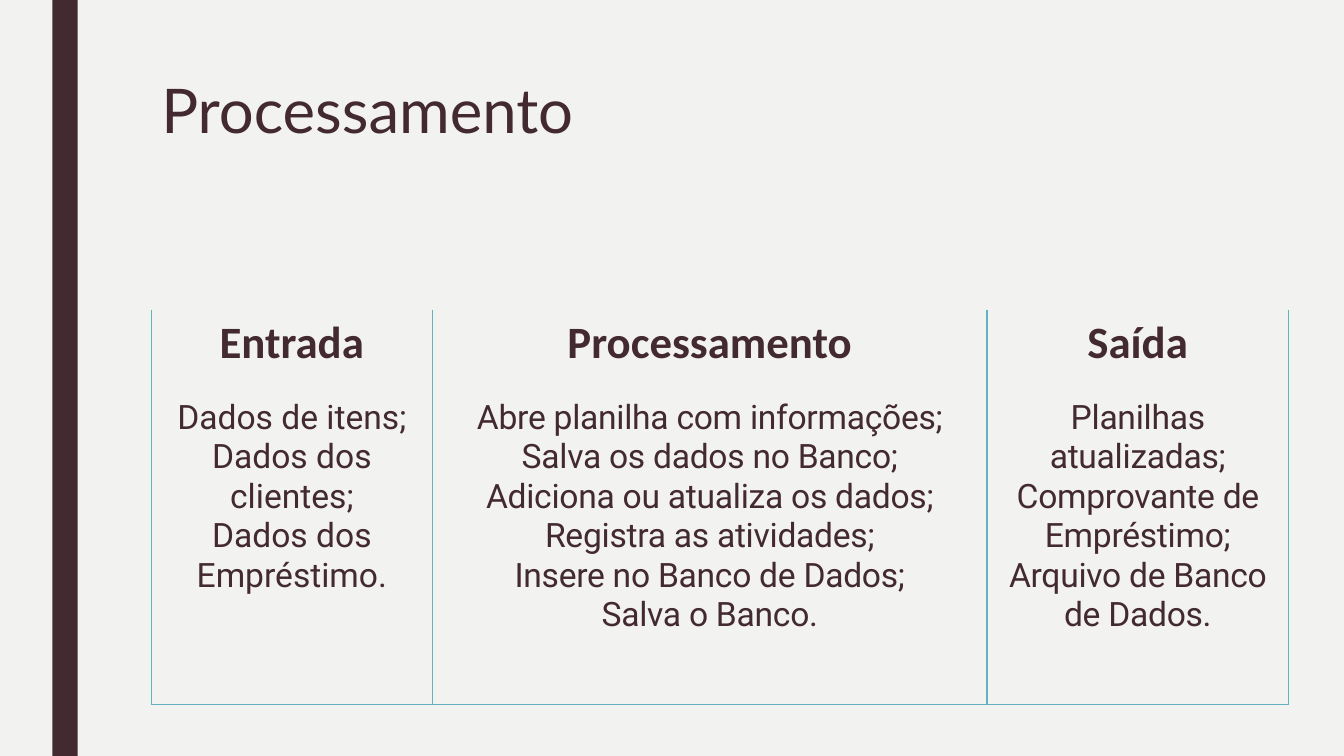
from lxml import etree
from pptx import Presentation
from pptx.dml.color import RGBColor
from pptx.enum.shapes import MSO_SHAPE
from pptx.enum.text import MSO_ANCHOR, MSO_AUTO_SIZE, PP_ALIGN
from pptx.oxml.ns import qn
from pptx.util import Inches, Pt

BACKGROUND = RGBColor(0xF2, 0xF2, 0xF0)
DARK = RGBColor(0x43, 0x2A, 0x30)
BORDER = RGBColor(0x64, 0xB2, 0xC1)
RECTANGLE = MSO_SHAPE.RECTANGLE
TOP = MSO_ANCHOR.TOP
NO_AUTOFIT = MSO_AUTO_SIZE.NONE
LEFT, CENTER = PP_ALIGN.LEFT, PP_ALIGN.CENTER

COLUMN_WIDTHS = (2.79, 5.5, 2.99)
ROW_HEIGHTS = (0.82, 3.09)
# Heading, letter spacing in hundredths of a point, body lines
COLUMNS = (
    ("Entrada", 0, (
        "Dados de itens;",
        "Dados dos clientes;",
        "Dados dos Empréstimo.",
    )),
    ("Processamento", -20, (
        "Abre planilha com informações;",
        "Salva os dados no Banco;",
        "Adiciona ou atualiza os dados;",
        "Registra as atividades;",
        "Insere no Banco de Dados;",
        "Salva o Banco.",
    )),
    ("Saída", -20, (
        "Planilhas atualizadas;",
        "Comprovante de Empréstimo;",
        "Arquivo de Banco de Dados.",
    )),
)


def format_text(frame, font_name, size, align, bold=False, spacing=0):
    for para in frame.paragraphs:
        para.alignment = align
        for span in para.runs:
            span.font.name = font_name
            span.font.size = Pt(size)
            span.font.bold = bold
            span.font.color.rgb = DARK
            if spacing:
                span.font._element.set("spc", str(spacing))


def set_borders(cell, visible_sides):
    properties = cell._tc.get_or_add_tcPr()
    for side in "LRTB":
        line = etree.SubElement(properties, qn(f"a:ln{side}"), w=str(Pt(0.96)))
        if side in visible_sides:
            fill = etree.SubElement(line, qn("a:solidFill"))
            etree.SubElement(fill, qn("a:srgbClr"), val=str(BORDER))
        else:
            etree.SubElement(line, qn("a:noFill"))


def fill_cell(cell, text, visible_sides, **text_format):
    cell.text_frame.text = text
    cell.vertical_anchor = TOP
    format_text(cell.text_frame, align=CENTER, **text_format)
    set_borders(cell, visible_sides)
    cell.fill.background()


def add_side_bar(page):
    bar = page.shapes.add_shape(
        RECTANGLE, Inches(0.52), 0, Inches(0.25), Inches(7.5))
    bar.shadow.inherit = False
    bar.fill.solid()
    bar.fill.fore_color.rgb = DARK
    bar.line.fill.background()


def set_title(page, text):
    title = page.shapes.title
    title.left, title.top = Inches(1.5), Inches(0.75)
    title.width, title.height = Inches(10.5), Inches(1.62)
    frame = title.text_frame
    frame.text = text
    frame.word_wrap = True
    frame.auto_size = NO_AUTOFIT
    frame.vertical_anchor = TOP
    frame.paragraphs[0].line_spacing = 0.89
    format_text(frame, "Lato", 44, LEFT)


def add_process_table(page):
    table = page.shapes.add_table(
        len(ROW_HEIGHTS), len(COLUMNS), Inches(1.5), Inches(3.08),
        Inches(sum(COLUMN_WIDTHS)), Inches(sum(ROW_HEIGHTS))).table
    table.first_row = False
    table.horz_banding = False
    for row, height in zip(table.rows, ROW_HEIGHTS):
        row.height = Inches(height)
    for index, (heading, spacing, lines) in enumerate(COLUMNS):
        table.columns[index].width = Inches(COLUMN_WIDTHS[index])
        fill_cell(table.cell(0, index), heading, "LR",
                  font_name="Calibri", size=32, bold=True)
        fill_cell(table.cell(1, index), "\n".join(lines), "LRB",
                  font_name="Roboto", size=24, spacing=spacing)


def main():
    deck = Presentation()
    deck.slide_width, deck.slide_height = Inches(13.33), Inches(7.5)
    page = deck.slides.add_slide(deck.slide_layouts[5])
    page.background.fill.solid()
    page.background.fill.fore_color.rgb = BACKGROUND

    add_side_bar(page)
    set_title(page, "Processamento")
    add_process_table(page)
    deck.save("out.pptx")


if __name__ == "__main__":
    main()
